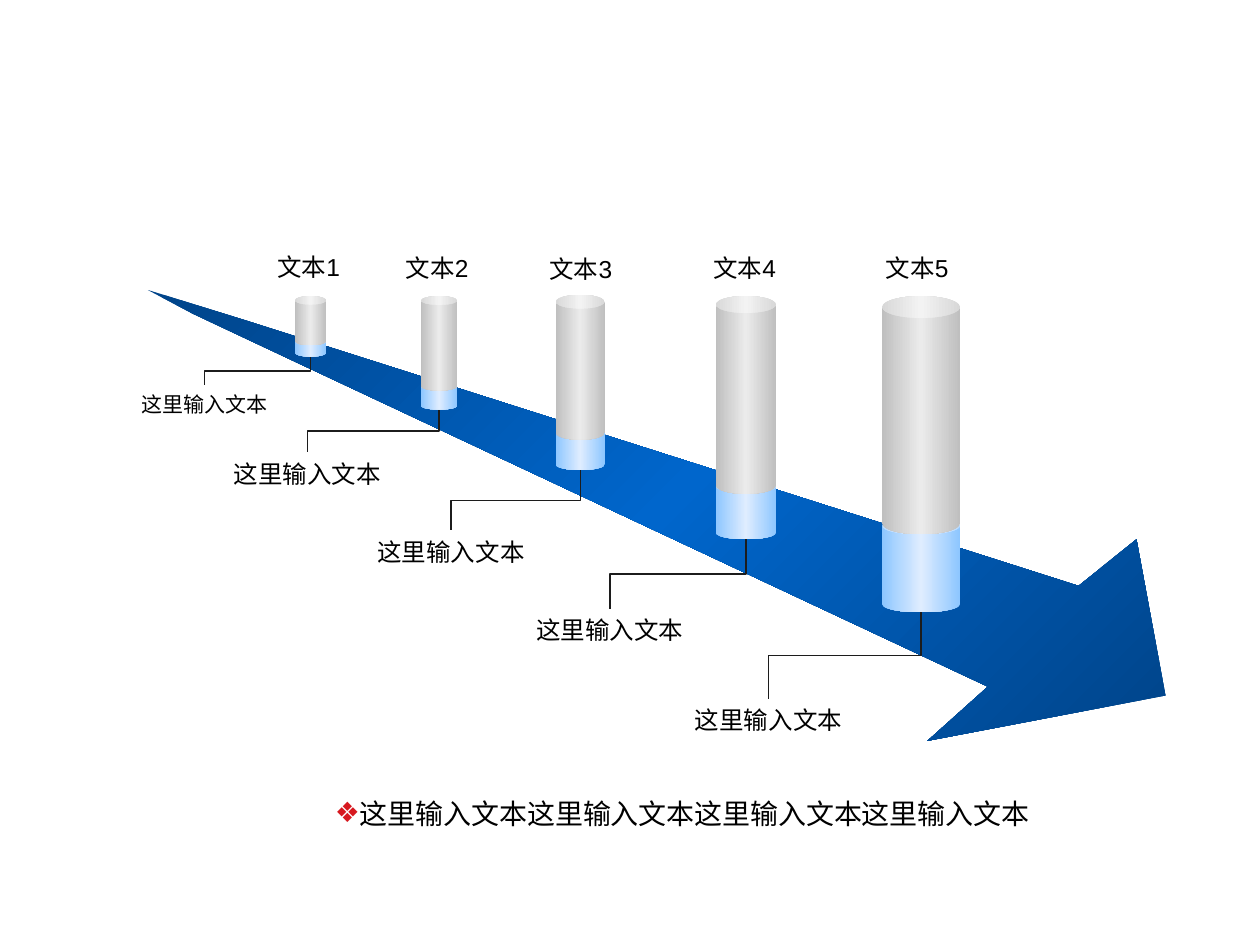
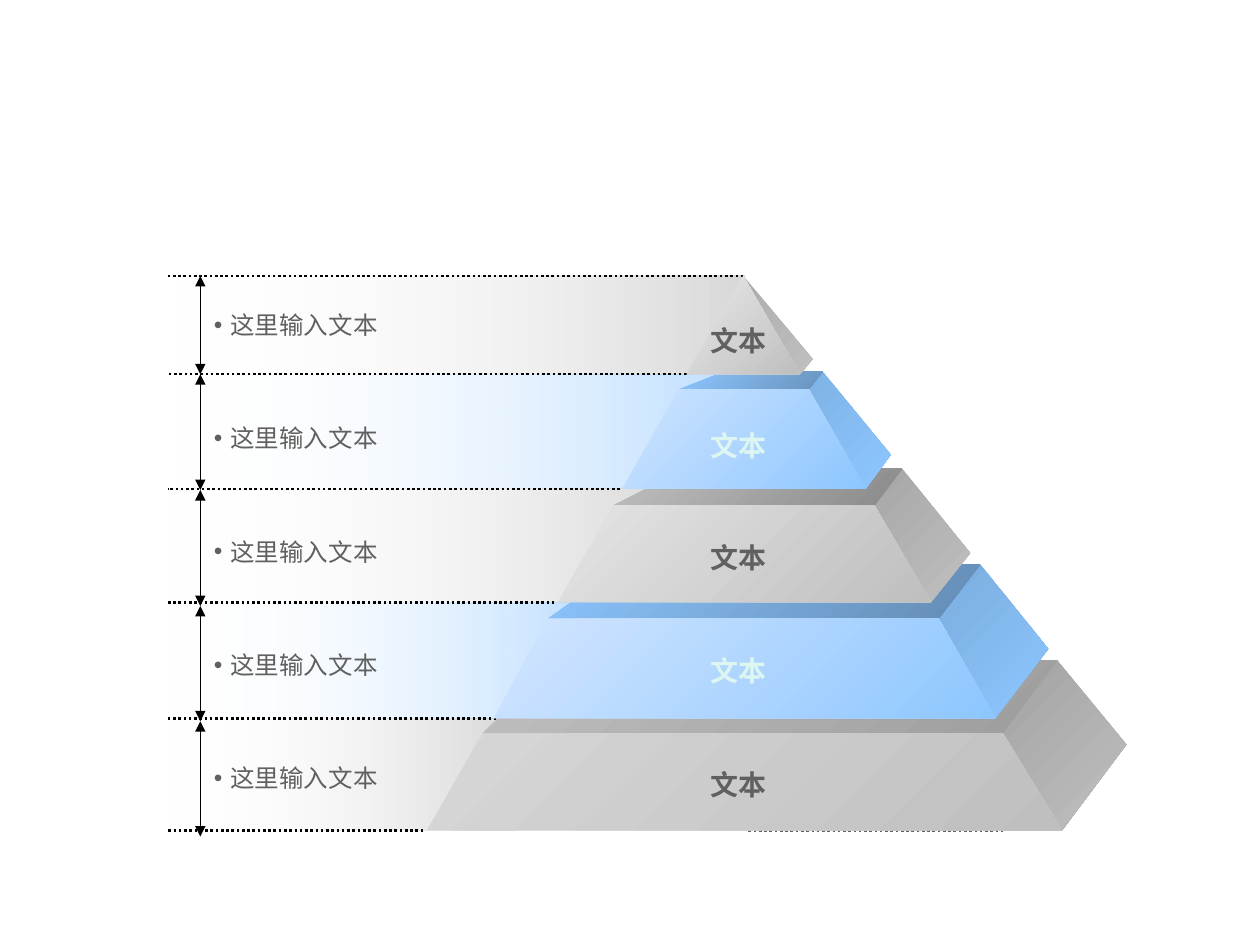
import pptx
import pptx.util
import pptx.dml.color
import pptx.enum.dml
import pptx.enum.shapes
import pptx.enum.text
import pptx.oxml.ns
import lxml.etree

RGB = pptx.dml.color.RGBColor
SHAPE = pptx.enum.shapes.MSO_SHAPE
LINK = pptx.enum.shapes.MSO_CONNECTOR
CENTER = pptx.enum.text.PP_ALIGN.CENTER
DOTS = pptx.enum.dml.MSO_LINE.ROUND_DOT
FIT = pptx.enum.text.MSO_AUTO_SIZE.SHAPE_TO_FIT_TEXT
qn = pptx.oxml.ns.qn

BLACK = RGB(0, 0, 0)
WHITE = RGB(0xFF, 0xFF, 0xFF)
INK = RGB(0x1C, 0x1C, 0x1C)
TEXT = RGB(0x60, 0x60, 0x60)
RULE = RGB(0x5F, 0x5F, 0x5F)
MINT = RGB(0xDE, 0xF6, 0xF1)
RED = RGB(0xD7, 0x18, 0x1F)
NAVY = RGB(0x00, 0x44, 0x89)
ROYAL = RGB(0x00, 0x66, 0xCC)
GRAY = RGB(0xBF, 0xBF, 0xBF)
SILVER = RGB(0xEB, 0xEB, 0xEB)
SKY = RGB(0x8D, 0xC6, 0xFF)
ICE = RGB(0xDF, 0xED, 0xFF)

FONT = "Arial"
COLS, ROWS = 100, 75
NOTE = "这里输入文本"
LABEL = "文本"


def apply(item, values):
    for name, value in values.items():
        setattr(item, name, value)


def add(parent, tag, **attrs):
    return lxml.etree.SubElement(parent, qn(tag), attrs)


class Deck:
    """Holds the style and the current slide; lengths are grid columns and rows."""

    def __init__(self):
        self.prs = pptx.Presentation()
        apply(self.prs, {"slide_width": pptx.util.Inches(10),
                         "slide_height": pptx.util.Inches(7.5)})
        self.cell = self.prs.slide_width // COLS
        self.slide = None

    def page(self):
        self.slide = self.prs.slides.add_slide(self.prs.slide_layouts[6])

    def grid(self, *cells):
        return [round(c * self.cell) for c in cells]

    def paint(self, shape, colors, angle=0, alphas=None):
        """Spread the colours evenly along a clockwise angle."""
        shape.shadow.inherit = False
        shape.line.fill.background()
        shape.fill.gradient()
        shape.fill.gradient_angle = -angle % 360
        stops = shape.element.spPr.find(".//" + qn("a:gsLst"))
        for old in list(stops):
            stops.remove(old)
        for i, color in enumerate(colors):
            stop = add(stops, "a:gs", pos=str(100000 * i // (len(colors) - 1)))
            tint = add(stop, "a:srgbClr", val=str(color))
            if alphas:
                add(tint, "a:alpha", val=str(alphas[i] * 1000))

    def block(self, kind, box, colors, adj=None, alphas=None):
        shape = self.slide.shapes.add_shape(kind, *self.grid(*box))
        if adj is not None:
            shape.adjustments[0] = adj
        self.paint(shape, colors, alphas=alphas)

    def outline(self, points, colors):
        start, *rest = [self.grid(*p) for p in points]
        form = self.slide.shapes.build_freeform(*start, scale=1)
        form.add_line_segments(rest, close=True)
        self.paint(form.convert_to_shape(), colors, 45)

    def line(self, ends, color=BLACK, width=0.75, dash=None, heads=False,
             kind=LINK.STRAIGHT):
        link = self.slide.shapes.add_connector(kind, *self.grid(*ends))
        link.line.color.rgb = color
        apply(link.line, {"width": pptx.util.Pt(width), "dash_style": dash})
        if heads:
            for tag in ("a:headEnd", "a:tailEnd"):
                add(link.line._get_or_add_ln(), tag, type="triangle")
        add(link.element.spPr, "a:effectLst")
        return link

    def bend(self, x1, y1, x2, y2):
        """Elbow that leaves downwards: an elbow box turned a quarter."""
        wide, high = x1 - x2, y2 - y1
        midx, midy = (x1 + x2) / 2, (y1 + y2) / 2
        link = self.line((midx - high / 2, midy - wide / 2,
                          midx + high / 2, midy + wide / 2),
                         INK, kind=LINK.ELBOW)
        link.element.spPr.find(qn("a:xfrm")).set("rot", "5400000")

    def text(self, words, box, size=14, color=BLACK, align=None, bold=False,
             bullet=None, tint=None, hang=0, wrap=True, shade=False):
        frame = self.slide.shapes.add_textbox(*self.grid(*box)).text_frame
        apply(frame, {"word_wrap": wrap, "auto_size": FIT})
        para = frame.paragraphs[0]
        if align is not None:
            para.alignment = align
        if bullet:
            props = para._p.get_or_add_pPr()
            inset = self.grid(hang)[0]
            props.set("marL", str(inset))
            props.set("indent", str(-inset))
            if tint is not None:
                add(add(props, "a:buClr"), "a:srgbClr", val=str(tint))
            add(props, "a:buFont", typeface=FONT)
            add(props, "a:buChar", char=bullet)
        run = para.add_run()
        run.text = words
        apply(run.font, {"name": FONT, "size": pptx.util.Pt(size), "bold": bold})
        run.font.color.rgb = color
        if shade:
            effects = lxml.etree.Element(qn("a:effectLst"))
            cast = add(effects, "a:outerShdw", dist="25400", dir="2700000")
            add(cast, "a:srgbClr", val=str(BLACK))
            run.font._element.find(qn("a:solidFill")).addnext(effects)


# Arrow slide: (left, width), (top, height, adj) of the gray can, the same of
# the blue can, heading (centre, top), note (centre, top, size)
CANS = [
    ((23.4, 2.5), (23.5, 3.9, .27), (26.8, 1.5, .4), (24.5, 19.5), (16.25, 30.6, 12)),
    ((33.4, 2.9), (23.5, 7.5, .24), (30.4, 2.1, .27), (34.7, 19.6), (24.4, 35.9, 14)),
    ((44.1, 3.9), (23.4, 11.5, .28), (33.9, 3.4, .25), (46.1, 19.7), (35.8, 42.1, 14)),
    ((56.8, 4.8), (23.5, 15.7, .28), (38.1, 4.7, .22), (59.1, 19.6), (48.4, 48.3, 14)),
    ((70, 6.2), (23.5, 18.9, .28), (41.1, 7.5, .21), (72.8, 19.6), (61, 55.5, 14)),
]
ARROW = [(19.4, 25.4), (11.7, 23), (15.3, 24.9), (78.4, 54.5), (73.6, 58.8),
         (92.5, 55.2), (90.2, 42.8), (85.6, 46.5)]

# Pyramid slide, top to bottom: front (bottom left, bottom right, top left,
# top right), back edge (left, right, row), outer corner of the side
TIERS = [
    ((54.5, 63.5, 59, 59), (59, 59, 21.9), (64.5, 28.5)),
    ((49.4, 68.7, 53.9, 64.2), (57.5, 65.3, 29.5), (70.7, 36.1)),
    ((44.3, 73.9, 48.7, 69.4), (54.4, 71.6, 37.2), (77, 43.9)),
    ((39.2, 79, 43.5, 74.5), (49.6, 77.8, 44.8), (83.2, 51.5)),
    ((33.9, 84.3, 38.3, 79.6), (44.2, 83.9, 52.4), (89.4, 59.1)),
]
CRESTS = [21.9, 30.9, 40.1, 49.1, 58.2]
EDGES = [21.9, 29.7, 38.8, 47.8, 57, 65.9]
TICKS = [21.9, 29.7, 38.9, 48.1, 57.25, 66.4]
BANDS = [59.1, 60, 55, 48.3, 40.8]
DASHES = [59, 54.5, 49.2, 44, 39.4, 33.6]
NAMES = [25.2, 33.5, 42.4, 51.4, 60.4]
HUES = [GRAY, SKY, GRAY, SKY, GRAY]
# Shades of each tier: start of the side, end of the lid, start of the front
SHADES = [
    (RGB(0xAD, 0xAD, 0xAD), GRAY, RGB(0xE9, 0xE9, 0xE9)),
    (RGB(0x7F, 0xB3, 0xE6), RGB(0x69, 0x94, 0xBE), RGB(0xD0, 0xE5, 0xFF)),
    (RGB(0xA7, 0xA7, 0xA7), RGB(0x8A, 0x8A, 0x8A), RGB(0xE4, 0xE4, 0xE4)),
    (RGB(0x7B, 0xAD, 0xDE), RGB(0x63, 0x8B, 0xB3), RGB(0xD3, 0xE6, 0xFF)),
    (RGB(0xA3, 0xA3, 0xA3), RGB(0x9D, 0x9D, 0x9D), RGB(0xD7, 0xD7, 0xD7)),
]
LEFT, AXIS = 13.3, 15.9


def arrow(deck):
    deck.page()
    deck.outline(ARROW, (NAVY, ROYAL, NAVY))
    for i, (span, gray, blue, head, note) in enumerate(CANS, 1):
        left, width = span
        # Heading, note and the elbow between can and note
        deck.text(f"{LABEL}{i}", (head[0] - 5, head[1], 10, 3.4), align=CENTER)
        mid, top, size = note
        deck.text(NOTE, (mid - 13.4, top, 26.8, 3.4), size, align=CENTER)
        deck.bend(left + width / 2, blue[0] + blue[1], mid, top)
        # Blue base below, gray can above
        for (row, high, adj), rim, glow in ((blue, SKY, ICE), (gray, GRAY, SILVER)):
            deck.block(SHAPE.CAN, (left, row, width, high), (rim, glow, rim), adj)
    deck.text(NOTE * 4, (25.6, 62.7, 65.8, 3.7), 16, bullet="❖", tint=RED)


def pyramid(deck):
    deck.page()
    # Fading bands, dotted rules, height arrows and notes
    for top, foot, end, hue in zip(EDGES, EDGES[1:], BANDS, HUES):
        deck.block(SHAPE.RECTANGLE, (LEFT, top, end - LEFT, foot - top),
                   (WHITE, hue), alphas=(0, 60))
    for row, end in zip(EDGES, DASHES):
        deck.line((end, row, LEFT, row), width=1.5, dash=DOTS)
    for i, (top, foot) in enumerate(zip(TICKS, TICKS[1:])):
        deck.line((AXIS, top, AXIS, foot), heads=True)
        deck.text(NOTE, (16, 24.1 + 9 * i, 15.3, 3.3), color=TEXT,
                  bullet="•", hang=1.3, wrap=False)
    for row, end in ((EDGES[5], 79.7), (EDGES[4], 85.6)):
        deck.line((59.4, row, end, row), RULE, 1.5, DOTS)

    # Tiers from the base up: side, lid, front
    parts = list(zip(TIERS, CRESTS, EDGES[1:], HUES, SHADES))
    for (front, back, corner), top, foot, hue, shades in reversed(parts):
        west, east, inner, outer = front
        start, end, row = back
        side, lid, face = shades
        deck.outline([(east, foot), (outer, top), (end, row), corner], (side, hue))
        if inner < outer:
            deck.outline([(inner, top), (outer, top), (end, row), (start, row)],
                         (hue, lid))
        deck.outline([(west, foot), (east, foot), (outer, top), (inner, top)],
                     (face, hue))

    # Tier names
    for row, hue in zip(NAMES, HUES):
        deck.text(LABEL, (51.1, row, 15, 3.7), 16, MINT if hue == SKY else TEXT,
                  CENTER, bold=True, shade=True)


def main():
    deck = Deck()
    arrow(deck)
    pyramid(deck)
    deck.prs.save("out.pptx")


if __name__ == "__main__":
    main()
